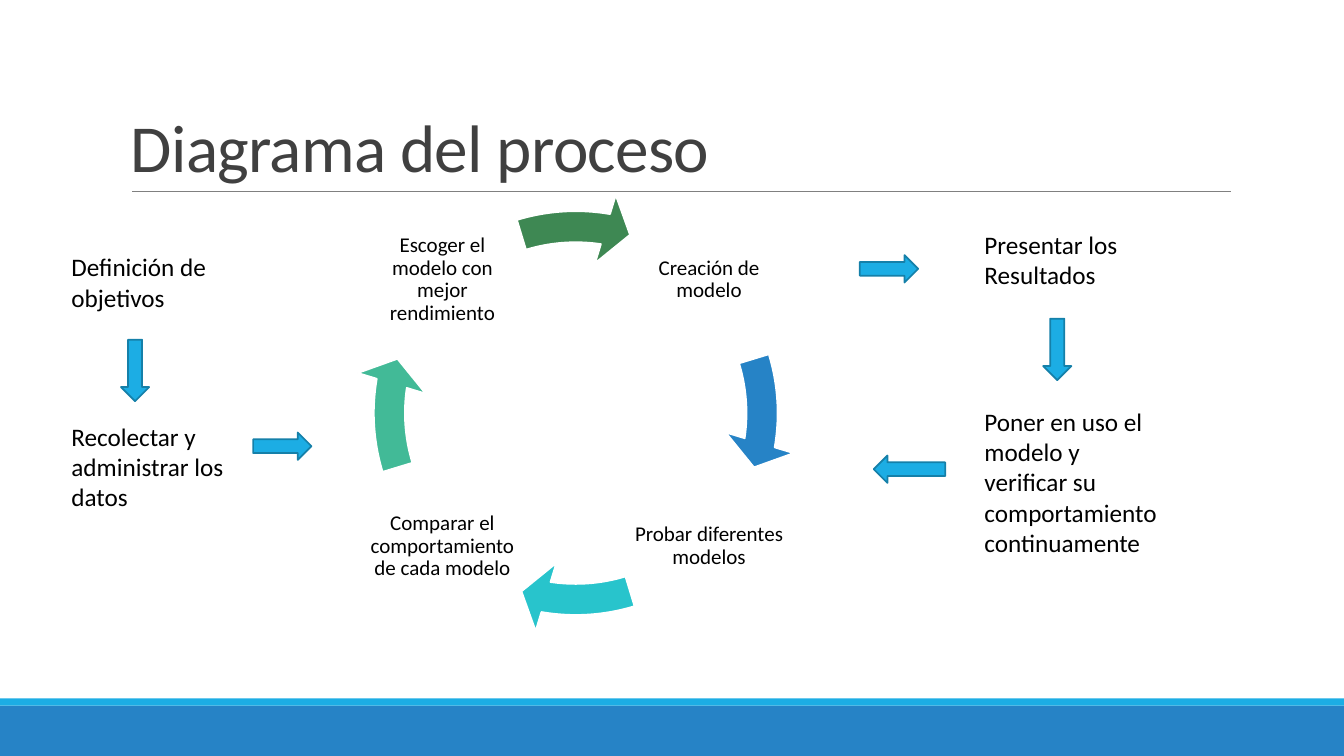
from dataclasses import dataclass
from lxml import etree
from pptx import Presentation
from pptx.dml.color import RGBColor
from pptx.enum.shapes import MSO_CONNECTOR, MSO_SHAPE
from pptx.enum.text import MSO_ANCHOR, PP_ALIGN
from pptx.oxml.ns import qn
from pptx.util import Cm, Pt

RECTANGLE = MSO_SHAPE.RECTANGLE
CIRCULAR = MSO_SHAPE.CIRCULAR_ARROW
DOWN, RIGHT, LEFT = MSO_SHAPE.DOWN_ARROW, MSO_SHAPE.RIGHT_ARROW, MSO_SHAPE.LEFT_ARROW
STRAIGHT = MSO_CONNECTOR.STRAIGHT
TOP, MIDDLE, BOTTOM = MSO_ANCHOR.TOP, MSO_ANCHOR.MIDDLE, MSO_ANCHOR.BOTTOM
ALIGN_LEFT, ALIGN_CENTER = PP_ALIGN.LEFT, PP_ALIGN.CENTER


@dataclass(frozen=True)
class Theme:
    font: str = "Calibri"
    title_size: float = 48
    step_size: float = 18
    cycle_size: float = 15
    title: str = "404040"
    text: str = "000000"
    rule: str = "808080"
    footer: str = "2683C6"
    accent: str = "1CADE4"
    accent_line: str = "1580A9"
    cycle_line: str = "FFFFFF"
    cycle: tuple = ("2683C6", "28C4CC", "42BA97", "3E8853")
    outline: float = 1.25


THEME = Theme()

TITLE = "Diagrama del proceso"
CYCLE = [
    ("Creación de modelo", 1, -1),
    ("Probar diferentes modelos", 1, 1),
    ("Comparar el comportamiento de cada modelo", -1, 1),
    ("Escoger el modelo con mejor rendimiento", -1, -1),
]
STEPS = [
    ("Definición de objetivos", (1.55, 6.22, 4.42, 1.8)),
    ("Recolectar y administrar los datos", (1.55, 10.49, 4.42, 2.57)),
    ("Presentar los Resultados", (24.56, 5.66, 4.42, 1.8)),
    ("Poner en uso el modelo y verificar su comportamiento continuamente",
     (24.56, 10.11, 4.95, 4.11)),
]
ARROWS = [
    (DOWN, (3.05, 8.56, 0.71, 1.55)),
    (RIGHT, (6.38, 10.9, 1.47, 0.69)),
    (RIGHT, (21.67, 6.43, 1.47, 0.69)),
    (DOWN, (26.29, 8.03, 0.71, 1.55)),
    (LEFT, (22.02, 11.48, 1.8, 0.69)),
]

PAGE_WIDTH, PAGE_HEIGHT = 33.87, 19.05
FOOTER_HEIGHT, STRIPE_HEIGHT = 1.27, 0.18
CENTER_X, CENTER_Y = 14.51, 10.41
RING_SIZE, LABEL_SIZE, LABEL_OFFSET = 11.18, 3.96, 3.36
FULL_TURN, QUARTER_TURN = 216, 54
ARC_END, ARC_START = 5.51, 205.84

deck = Presentation()
deck.slide_width, deck.slide_height = Cm(PAGE_WIDTH), Cm(PAGE_HEIGHT)
page = deck.slides.add_slide(deck.slide_layouts[6])


def lengths(values):
    return [Cm(value) for value in values]


def centered(x, y, size):
    return x - size / 2, y - size / 2, size, size


def add_text(text, place, size, color=THEME.text, align=ALIGN_LEFT, anchor=TOP,
             line_spacing=None, inset=None, tracking=None):
    box = page.shapes.add_textbox(*lengths(place))
    frame = box.text_frame
    frame.word_wrap = True
    frame.vertical_anchor = anchor
    if inset is not None:
        frame.margin_left = frame.margin_right = Cm(inset)
        frame.margin_top = frame.margin_bottom = Cm(inset)
    para = frame.paragraphs[0]
    para.alignment = align
    para.line_spacing = line_spacing
    span = para.add_run()
    span.text = text
    span.font.name = THEME.font
    span.font.size = Pt(size)
    span.font.color.rgb = RGBColor.from_string(color)
    if tracking is not None:
        span.font._element.set("spc", str(round(tracking * 100)))


def add_figure(kind, place, fill, line=None):
    figure = page.shapes.add_shape(kind, *lengths(place))
    figure.shadow.inherit = False
    figure.fill.solid()
    figure.fill.fore_color.rgb = RGBColor.from_string(fill)
    if line is None:
        figure.line.fill.background()
    else:
        figure.line.color.rgb = RGBColor.from_string(line)
        figure.line.width = Pt(THEME.outline)
    return figure


footer_top = PAGE_HEIGHT - FOOTER_HEIGHT
add_figure(RECTANGLE, (0, footer_top, PAGE_WIDTH, FOOTER_HEIGHT), THEME.footer)
add_figure(RECTANGLE, (0, footer_top - STRIPE_HEIGHT, PAGE_WIDTH, STRIPE_HEIGHT), THEME.accent)

rule = page.shapes.add_connector(STRAIGHT, *lengths((3.33, 4.83, 31.01, 4.83)))
rule.line.color.rgb = RGBColor.from_string(THEME.rule)
rule.line.width = Pt(0.5)
etree.SubElement(rule._element.spPr, qn("a:effectLst"))

add_text(TITLE, (3.05, 0.79, 27.94, 4.04), THEME.title_size, color=THEME.title,
         anchor=BOTTOM, line_spacing=0.85, tracking=-0.5)

for index, (label, side_x, side_y) in enumerate(CYCLE):
    label_place = centered(CENTER_X + side_x * LABEL_OFFSET,
                           CENTER_Y + side_y * LABEL_OFFSET, LABEL_SIZE)
    add_text(label, label_place, THEME.cycle_size, align=ALIGN_CENTER,
             anchor=MIDDLE, line_spacing=0.9, inset=0.05)
    arc = add_figure(CIRCULAR, centered(CENTER_X, CENTER_Y, RING_SIZE),
                     THEME.cycle[index], THEME.cycle_line)
    turn = index * QUARTER_TURN
    settings = (0.07, 4.65, ARC_END + turn, (ARC_START + turn) % FULL_TURN, 0.08)
    for position, value in enumerate(settings):
        arc.adjustments[position] = value

for step, place in STEPS:
    add_text(step, place, THEME.step_size)

for kind, place in ARROWS:
    add_figure(kind, place, THEME.accent, THEME.accent_line)

deck.save("out.pptx")
